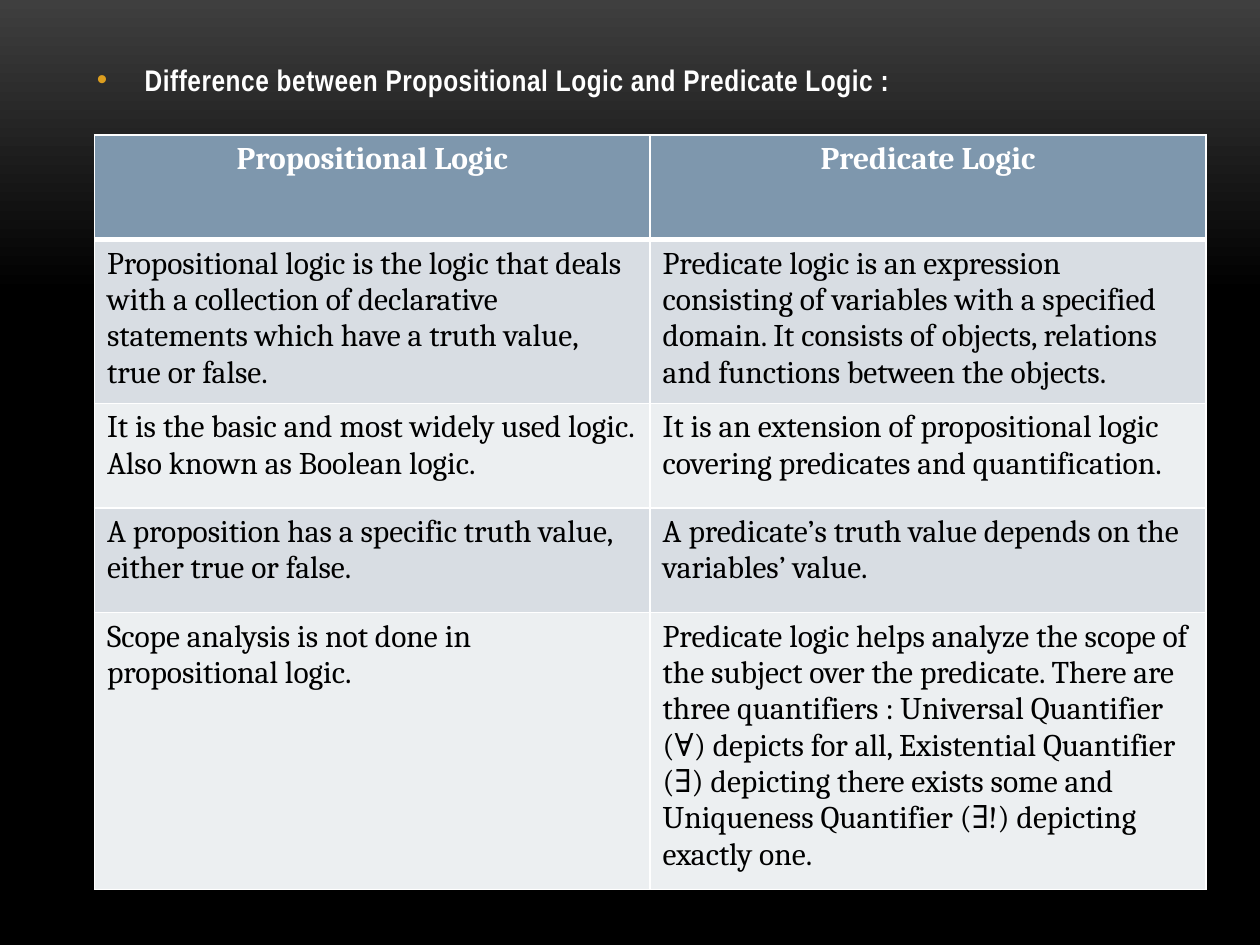
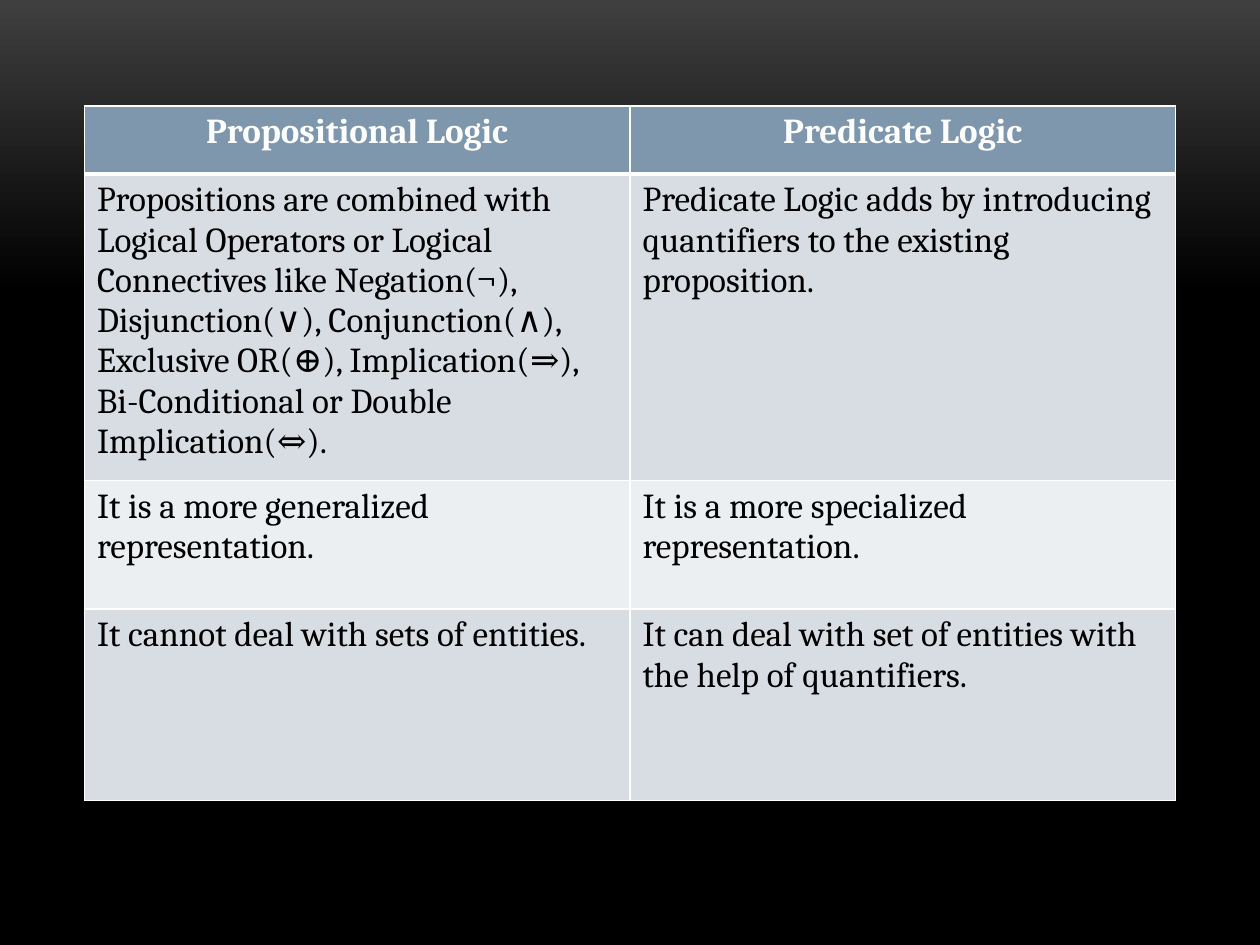
from copy import deepcopy

from lxml import etree
from pptx import Presentation
from pptx.dml.color import RGBColor
from pptx.enum import text as t
from pptx.oxml import ns
from pptx.util import Inches, Pt

# Shared look
WHITE = RGBColor(0xFF, 0xFF, 0xFF)
BLACK = RGBColor(0, 0, 0)
CHARCOAL = RGBColor(0x3F, 0x3F, 0x3F)
GOLD = RGBColor(0xDC, 0x9E, 0x1F)
HEADER_BLUE = RGBColor(0x7E, 0x97, 0xAD)
BANDS = (RGBColor(0xD8, 0xDD, 0xE3), RGBColor(0xEC, 0xEF, 0xF1))
HEADING_FONT = "Arial Narrow"
TABLE_FONT = "Cambria"

# Table content
HEADERS = ("Propositional Logic", "Predicate Logic")
BASIC_DIFFERENCES = [
    ("Propositional logic is the logic that deals with a collection of declarative "
     "statements which have a truth value, true or false.",
     "Predicate logic is an expression consisting of variables with a specified domain. "
     "It consists of objects, relations and functions between the objects."),
    ("It is the basic and most widely used logic. Also known as Boolean logic.",
     "It is an extension of propositional logic covering predicates and quantification."),
    ("A proposition has a specific truth value, either true or false.",
     "A predicate’s truth value depends on the variables’ value."),
    ("Scope analysis is not done in propositional logic.",
     "Predicate logic helps analyze the scope of the subject over the predicate. "
     "There are three quantifiers : Universal Quantifier (∀) depicts for all, "
     "Existential Quantifier (∃) depicting there exists some and "
     "Uniqueness Quantifier (∃!) depicting exactly one."),
]
FURTHER_DIFFERENCES = [
    ("Propositions are combined with Logical Operators or Logical Connectives like "
     "Negation(¬), Disjunction(∨), Conjunction(∧), Exclusive OR(⊕), Implication(⇒), "
     "Bi-Conditional or Double Implication(⇔).",
     "Predicate Logic adds by introducing quantifiers to the existing proposition."),
    ("It is a more generalized representation.",
     "It is a more specialized representation."),
    ("It cannot deal with sets of entities.",
     "It can deal with set of entities with the help of quantifiers."),
]


def add_element(parent, tag, **attributes):
    return etree.SubElement(parent, ns.qn(tag), **attributes)


def write_text(paragraph, content, *, font, size, color, bold=False, align=None, spacing=None):
    paragraph.alignment = align
    run = paragraph.add_run()
    run.text = content
    run.font.name = font
    run.font.size = Pt(size)
    run.font.bold = bold
    run.font.color.rgb = color
    if spacing is not None:
        run.font._element.set("spc", str(round(spacing * 100)))


def add_slide(presentation):
    """Blank slide with the charcoal-to-black background."""
    slide = presentation.slides.add_slide(presentation.slide_layouts[6])
    fill = slide.background.fill
    fill.gradient()
    fill.gradient_angle = 270
    top, middle = fill.gradient_stops
    top.color.rgb, top.position = CHARCOAL, 0
    middle.color.rgb, middle.position = BLACK, 0.31
    stop_list = next(slide._element.iter(ns.qn("a:gsLst")))
    bottom = deepcopy(stop_list[-1])
    bottom.set("pos", "100000")
    stop_list.append(bottom)
    return slide


def add_bullet_heading(slide, content):
    box = slide.shapes.add_textbox(Inches(0.67), Inches(0.44), Inches(8.67), Inches(6.54))
    box.text_frame.word_wrap = True
    paragraph = box.text_frame.paragraphs[0]
    properties = paragraph._p.get_or_add_pPr()
    properties.set("marL", str(Inches(0.38)))
    properties.set("indent", str(-Inches(0.38)))
    bullet_color = add_element(properties, "a:buClr")
    add_element(bullet_color, "a:srgbClr", val=str(GOLD))
    add_element(properties, "a:buFont", typeface="Arial")
    add_element(properties, "a:buChar", char="•")
    paragraph.space_after = Pt(6)
    write_text(paragraph, content, font=HEADING_FONT, size=17, color=WHITE, bold=True, spacing=0.3)


def set_borders(cell, *, top=1, bottom=1):
    properties = cell._tc.get_or_add_tcPr()
    for side, width in (("L", 1), ("R", 1), ("T", top), ("B", bottom)):
        line = add_element(properties, f"a:ln{side}", w=str(Pt(width)))
        fill = add_element(line, "a:solidFill")
        add_element(fill, "a:srgbClr", val=str(WHITE))


def add_comparison_table(slide, rows, left, top, column_width, row_heights, size):
    frame = slide.shapes.add_table(
        len(rows) + 1, len(HEADERS), Inches(left), Inches(top),
        Inches(column_width * len(HEADERS)), Inches(sum(row_heights)))
    table = frame.table
    for column in table.columns:
        column.width = Inches(column_width)
    for row, height in zip(table.rows, row_heights):
        row.height = Inches(height)
    for row_index, contents in enumerate([HEADERS, *rows]):
        is_header = row_index == 0
        for column_index, content in enumerate(contents):
            cell = table.cell(row_index, column_index)
            # The rule under the header is thick on both cells that share it
            set_borders(cell, top=3 if row_index == 1 else 1, bottom=3 if is_header else 1)
            cell.fill.solid()
            cell.fill.fore_color.rgb = HEADER_BLUE if is_header else BANDS[(row_index - 1) % 2]
            write_text(cell.text_frame.paragraphs[0], content, font=TABLE_FONT, size=size,
                       color=WHITE if is_header else BLACK, bold=is_header,
                       align=t.PP_ALIGN.CENTER if is_header else t.PP_ALIGN.LEFT)


def main():
    presentation = Presentation()
    presentation.slide_width, presentation.slide_height = Inches(10), Inches(7.5)

    # Slide 1: basic differences
    slide = add_slide(presentation)
    add_bullet_heading(slide, "Difference between Propositional Logic and Predicate Logic :")
    add_comparison_table(slide, BASIC_DIFFERENCES, left=0.75, top=1.07, column_width=4.41,
                         row_heights=[0.83] * 5, size=18)

    # Slide 2: further differences
    slide = add_slide(presentation)
    add_comparison_table(slide, FURTHER_DIFFERENCES, left=0.67, top=0.84, column_width=4.33,
                         row_heights=[0.54, 2.22, 1.02, 1.52], size=20)

    presentation.save("out.pptx")


if __name__ == "__main__":
    main()
